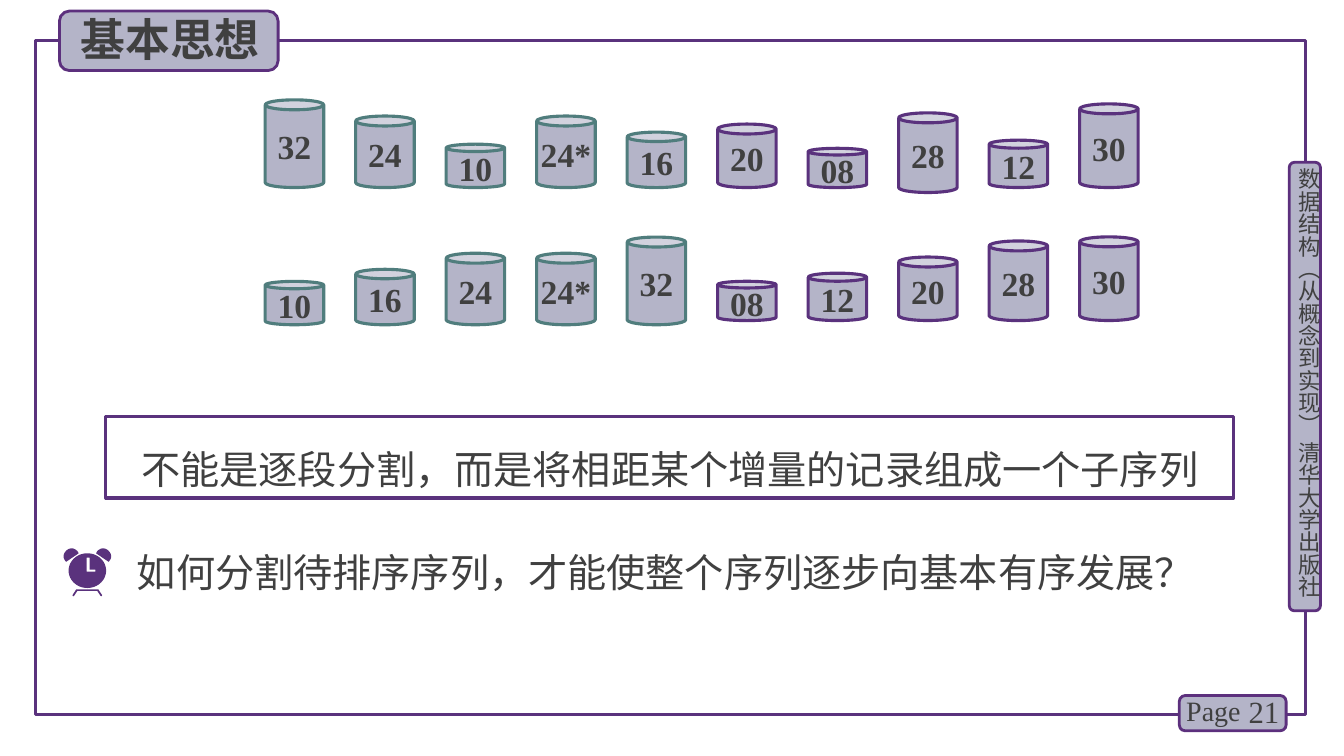
from dataclasses import dataclass
from math import cos, pi, sin

from lxml import etree
from pptx import Presentation
from pptx.dml.color import RGBColor
from pptx.enum.shapes import MSO_SHAPE
from pptx.enum.text import MSO_ANCHOR, MSO_AUTO_SIZE, PP_ALIGN
from pptx.oxml.ns import qn
from pptx.util import Pt

RECTANGLE, ROUNDED, CAN = MSO_SHAPE.RECTANGLE, MSO_SHAPE.ROUNDED_RECTANGLE, MSO_SHAPE.CAN
TOP, MIDDLE = MSO_ANCHOR.TOP, MSO_ANCHOR.MIDDLE
LEFT, CENTER, RIGHT = PP_ALIGN.LEFT, PP_ALIGN.CENTER, PP_ALIGN.RIGHT
GROW, FIXED = MSO_AUTO_SIZE.SHAPE_TO_FIT_TEXT, MSO_AUTO_SIZE.NONE


@dataclass(frozen=True)
class Theme:
    purple: str = "5A327D"
    badge_line: str = "5C307D"
    teal: str = "507D7D"
    lilac: str = "B4B4C8"
    ink: str = "404040"
    latin: str = "Times New Roman"
    chinese: str = "Noto Sans CJK SC"
    title: int = 32
    body: int = 28
    can: int = 24
    number: int = 22
    page: int = 20
    side: int = 16
    line: float = 2.25
    badge_width: float = 2


THEME = Theme()

TITLE = "基本思想"
SIDE_LABEL = "数据结构（从概念到实现） 清华大学出版社"
QUESTION = "如何分割待排序序列，才能使整个序列逐步向基本有序发展？"
ANSWER = "不能是逐段分割，而是将相距某个增量的记录组成一个子序列"
PAGE_WORD, PAGE_NUMBER = "Page", "21"

FRAME = (25.2, 28.8, 907.2, 481.7)
ANSWER_BOX = (75.6, 297.4, 805.7, 58.3)
BADGES = [
    (920.9, 115.9, 22.3, 320.4),
    (842.4, 496.8, 76.3, 25.2),
    (42.5, 7.9, 156.2, 42.5),
]

CAN_ROWS = [
    (["32", "24", "10", "24*", "16", "20", "08", "28", "12", "30"], 134, 134),
    (["10", "16", "24", "24*", "32", "08", "12", "20", "28", "30"], 232, 229),
]
CAN_LEFT, CAN_STEP, CAN_WIDTH = 189.4, 64.64, 41.8
CAN_BASE, CAN_UNIT = 16.56, 1.44
CAN_DROP = {(0, "28"): 3.5}
GROUP_SIZE = 5

CLOCK_AXIS = 62.4
FACE_CENTER, FACE_RADII = (CLOCK_AXIS, 407.6), (13.4, 12.4)
HANDS = [(61.9, 398.4), (64, 398.4), (64, 406.9), (68.1, 406.9), (68.1, 408.3), (61.9, 408.3)]
HALF_STAND = [(0, 421), (7.9, 421), (10.6, 425.2), (10.1, 426), (9.4, 425.6), (7.1, 422.1), (0, 422.1)]
BELL_CURVES = [
    [(11.3, 391.7), (14.2, 391.7), (17, 394.6), (17, 397.4)],
    [(17, 397.4), (17, 398.9), (16.3, 400), (15.2, 401.3)],
    [(6.3, 395.3), (6.3, 394.2), (8.4, 391.7), (11.3, 391.7)],
]


def color(code):
    return RGBColor.from_string(code)


def write(shape, text, size, font=THEME.latin, bold=False, align=LEFT,
          anchor=TOP, grow=False, wrap=True, spacing=None):
    frame = shape.text_frame
    frame.text = text
    frame.word_wrap = wrap
    frame.auto_size = GROW if grow else FIXED
    frame.vertical_anchor = anchor
    para = frame.paragraphs[0]
    para.alignment = align
    if spacing:
        para.line_spacing = spacing
    span = para.runs[0]
    span.font.size = Pt(size)
    span.font.name = font
    span.font.bold = bold
    span.font.color.rgb = color(THEME.ink)
    east_asian = etree.SubElement(span.font._element, qn("a:ea"))
    east_asian.set("typeface", THEME.chinese)


def add_box(page, bounds, text, size, **style):
    box = page.shapes.add_textbox(*map(Pt, bounds))
    write(box, text, size, **style)
    return box


def add_outline(page, kind, bounds, line, width, fill=None):
    shape = page.shapes.add_shape(kind, *map(Pt, bounds))
    shape.shadow.inherit = False
    if fill:
        shape.fill.solid()
        shape.fill.fore_color.rgb = color(fill)
    else:
        shape.fill.background()
    shape.line.color.rgb = color(line)
    shape.line.width = Pt(width)
    return shape


def add_solid(page, *contours):
    scaled = [[(x * 100, y * 100) for x, y in contour] for contour in contours]
    builder = page.shapes.build_freeform(*scaled[0][0], scale=Pt(1) / 100)
    builder.add_line_segments(scaled[0][1:])
    for contour in scaled[1:]:
        builder.move_to(*contour[0])
        builder.add_line_segments(contour[1:])
    shape = builder.convert_to_shape()
    shape.shadow.inherit = False
    shape.fill.solid()
    shape.fill.fore_color.rgb = color(THEME.purple)
    shape.line.fill.background()


def sample_curve(controls, steps=8):
    points = []
    for step in range(steps + 1):
        t = step / steps
        weights = ((1 - t) ** 3, 3 * t * (1 - t) ** 2, 3 * t * t * (1 - t), t ** 3)
        points.append(tuple(sum(w * p[i] for w, p in zip(weights, controls)) for i in (0, 1)))
    return points


def add_clock(page):
    def place(points, side):
        return [(CLOCK_AXIS + side * x, y) for x, y in points]

    add_solid(page, place(HALF_STAND, 1) + place(HALF_STAND[::-1], -1))
    bell = [point for curve in BELL_CURVES for point in sample_curve(curve)]
    for side in (-1, 1):
        add_solid(page, place(bell, side))
    angles = [2 * pi * step / 60 for step in range(60)]
    face = [(FACE_CENTER[0] + FACE_RADII[0] * cos(a), FACE_CENTER[1] + FACE_RADII[1] * sin(a))
            for a in angles]
    add_solid(page, face, HANDS)


def add_cans(page):
    for row, (labels, left_floor, right_floor) in enumerate(CAN_ROWS):
        for index, label in enumerate(labels):
            first_group = index < GROUP_SIZE
            height = CAN_BASE + CAN_UNIT * int(label.rstrip("*"))
            floor = (left_floor if first_group else right_floor) + CAN_DROP.get((row, label), 0)
            bounds = (CAN_LEFT + index * CAN_STEP, floor - height, CAN_WIDTH, height)
            line = THEME.teal if first_group else THEME.purple
            can = add_outline(page, CAN, bounds, line, THEME.line, THEME.lilac)
            can.adjustments[0] = 0.17
            write(can, label, THEME.can, bold=True, align=CENTER, anchor=MIDDLE, wrap=False)


def main():
    deck = Presentation()
    deck.slide_width, deck.slide_height = Pt(960), Pt(540)
    page = deck.slides.add_slide(deck.slide_layouts[6])

    add_outline(page, RECTANGLE, FRAME, THEME.purple, THEME.line)
    for bounds in BADGES:
        add_outline(page, ROUNDED, bounds, THEME.badge_line, THEME.badge_width, THEME.lilac)

    side = add_box(page, (925.2, 120.2, 19.4, 323.3), SIDE_LABEL, THEME.side,
                   font=THEME.chinese, grow=True)
    body = side.text_frame
    body.margin_left = body.margin_right = body.margin_top = body.margin_bottom = 0
    body._txBody.bodyPr.set("vert", "eaVert")

    add_box(page, (878.4, 493.9, 42.5, 28.8), PAGE_NUMBER, THEME.number,
            align=RIGHT, anchor=MIDDLE)
    add_box(page, (840.2, 491.8, 56.2, 31.7), PAGE_WORD, THEME.page, grow=True)
    add_box(page, (50.4, 5, 146.9, 46.1), TITLE, THEME.title,
            font=THEME.chinese, bold=True, grow=True)

    add_clock(page)
    add_box(page, (90.7, 388.1, 774, 41), QUESTION, THEME.body, anchor=MIDDLE, grow=True)
    answer = add_outline(page, RECTANGLE, ANSWER_BOX, THEME.purple, THEME.line)
    write(answer, ANSWER, THEME.body, align=CENTER, anchor=MIDDLE, grow=True, spacing=1.5)
    add_cans(page)

    deck.save("out.pptx")


if __name__ == "__main__":
    main()
